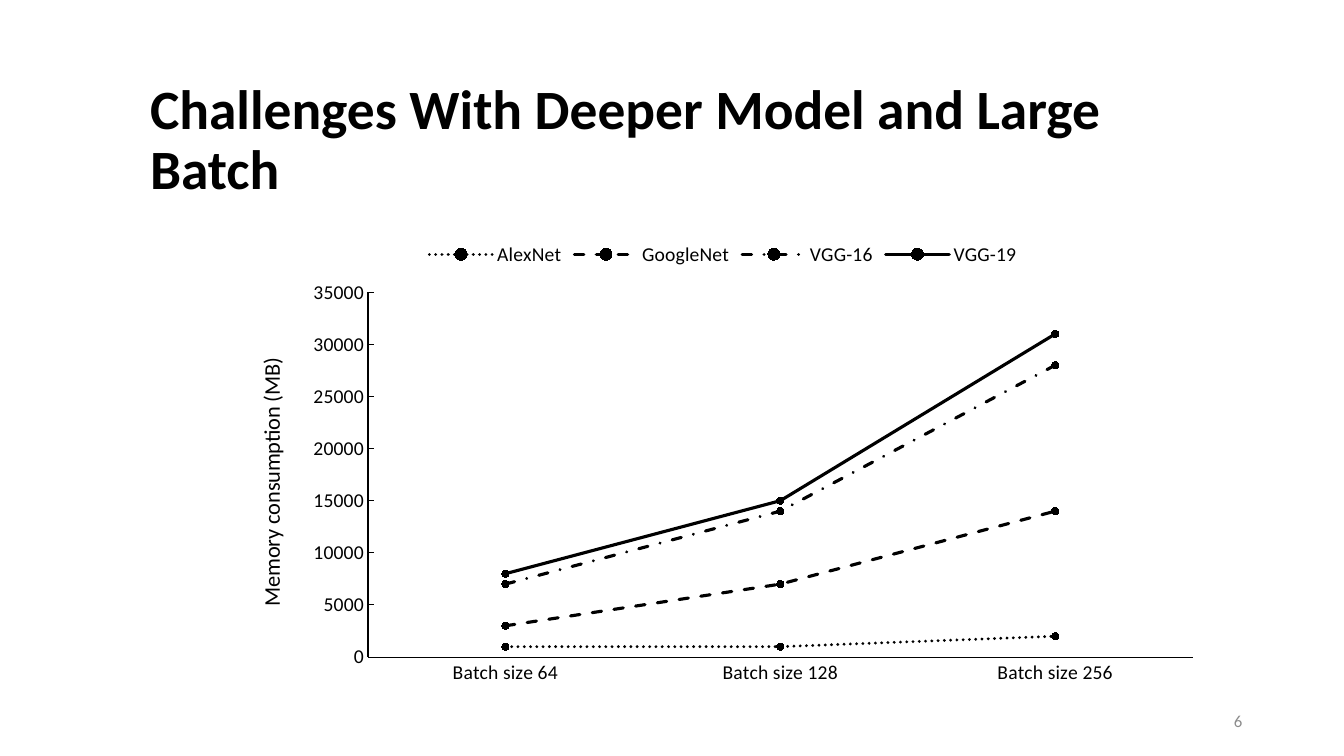
from lxml import etree
from pptx import Presentation
from pptx.chart.data import CategoryChartData
from pptx.dml.color import RGBColor
from pptx.enum.chart import XL_CHART_TYPE, XL_LEGEND_POSITION, XL_MARKER_STYLE, XL_TICK_MARK
from pptx.enum.dml import MSO_LINE
from pptx.enum.text import MSO_ANCHOR, PP_ALIGN
from pptx.oxml.ns import qn
from pptx.util import Inches, Pt

LINE_MARKERS = XL_CHART_TYPE.LINE_MARKERS
LEGEND_TOP = XL_LEGEND_POSITION.TOP
CIRCLE = XL_MARKER_STYLE.CIRCLE
TICK_NONE, TICK_INSIDE = XL_TICK_MARK.NONE, XL_TICK_MARK.INSIDE
DOTTED, DASHED = MSO_LINE.ROUND_DOT, MSO_LINE.DASH
DASH_DOTTED, SOLID = MSO_LINE.DASH_DOT, MSO_LINE.SOLID
MIDDLE = MSO_ANCHOR.MIDDLE
LEFT, RIGHT = PP_ALIGN.LEFT, PP_ALIGN.RIGHT

BLACK = RGBColor(0x00, 0x00, 0x00)
GRAY = RGBColor(0x8C, 0x8C, 0x8C)
FONT = "Calibri"

BATCHES = ["Batch size 64", "Batch size 128", "Batch size 256"]
MODELS = [
    ("AlexNet", (1000, 1000, 2000), DOTTED),
    ("GoogleNet", (3000, 7000, 14000), DASHED),
    ("VGG-16", (7000, 14000, 28000), DASH_DOTTED),
    ("VGG-19", (8000, 15000, 31000), SOLID),
]

TITLE_BOX = (1.39, 0.99, 11, 0.82)
CHART_BOX = (2.32, 2.29, 9.7, 4.6)
NUMBER_BOX = (9.42, 6.95, 3, 0.4)


def set_font(font, size, color=BLACK, bold=False):
    font.name = FONT
    font.size = Pt(size)
    font.bold = bold
    font.color.rgb = color


def add_text(slide, box, text, size, color=BLACK, bold=False, align=LEFT, spacing=1.0):
    shape = slide.shapes.add_textbox(*map(Inches, box))
    frame = shape.text_frame
    frame.word_wrap = True
    frame.vertical_anchor = MIDDLE
    paragraph = frame.paragraphs[0]
    paragraph.text = text
    paragraph.alignment = align
    paragraph.line_spacing = spacing
    set_font(paragraph.font, size, color, bold)


def set_layout(element, index, inner=False, **shares):
    for old_layout in element.findall(qn("c:layout")):
        element.remove(old_layout)
    layout = etree.Element(qn("c:layout"))
    element.insert(index, layout)
    manual = etree.SubElement(layout, qn("c:manualLayout"))
    if inner:
        etree.SubElement(manual, qn("c:layoutTarget")).set("val", "inner")
    for name in ("xMode", "yMode"):
        etree.SubElement(manual, qn(f"c:{name}")).set("val", "edge")
    for name, share in shares.items():
        etree.SubElement(manual, qn(f"c:{name}")).set("val", str(share))


def style_axis(axis, tick_mark):
    axis.has_major_gridlines = False
    axis.major_tick_mark = tick_mark
    axis.minor_tick_mark = TICK_NONE
    set_font(axis.tick_labels.font, 14)
    axis.format.line.color.rgb = BLACK
    axis.format.line.width = Pt(0.75)


def style_series(series, dash):
    series.smooth = False
    line = series.format.line
    line.color.rgb = BLACK
    line.width = Pt(2.25)
    line.dash_style = dash
    series._element.spPr.find(qn("a:ln")).set("cap", "rnd")
    marker = series.marker
    marker.style = CIRCLE
    marker.size = 5
    marker.format.fill.solid()
    marker.format.fill.fore_color.rgb = BLACK
    marker.format.line.color.rgb = BLACK


def add_memory_chart(slide, box):
    data = CategoryChartData()
    data.categories = BATCHES
    for name, values, _ in MODELS:
        data.add_series(name, values)
    chart = slide.shapes.add_chart(LINE_MARKERS, *map(Inches, box), data).chart
    set_font(chart.font, 11)
    chart.has_title = False
    chart.has_legend = True
    chart.legend.position = LEGEND_TOP
    chart.legend.include_in_layout = False
    set_font(chart.legend.font, 14)

    plot = chart.plots[0]
    plot.vary_by_categories = False
    for series, (_, _, dash) in zip(plot.series, MODELS):
        style_series(series, dash)

    style_axis(chart.category_axis, TICK_NONE)
    value_axis = chart.value_axis
    style_axis(value_axis, TICK_INSIDE)
    value_axis.minimum_scale = 0
    value_axis.maximum_scale = 35000
    value_axis.major_unit = 5000
    axis_title = value_axis.axis_title
    paragraph = axis_title.text_frame.paragraphs[0]
    paragraph.text = "Memory consumption (MB)"
    set_font(paragraph.font, 16)
    body_properties = axis_title.text_frame._txBody.bodyPr
    body_properties.set("rot", "-5400000")
    body_properties.set("vert", "horz")

    width, height = box[2:]
    set_layout(axis_title._element, 1, x=0.18 / width, y=1.22 / height)
    set_layout(chart._chartSpace.chart.plotArea, 0, inner=True,
               x=1.33 / width, y=0.61 / height, w=8.18 / width, h=3.62 / height)


def main():
    presentation = Presentation()
    presentation.slide_width = Inches(13.33)
    presentation.slide_height = Inches(7.5)
    slide = presentation.slides.add_slide(presentation.slide_layouts[6])
    add_text(slide, TITLE_BOX, "Challenges With Deeper Model and Large Batch", 39.6,
             bold=True, spacing=0.9)
    add_memory_chart(slide, CHART_BOX)
    add_text(slide, NUMBER_BOX, "6", 12, color=GRAY, align=RIGHT)
    presentation.save("out.pptx")


if __name__ == "__main__":
    main()
